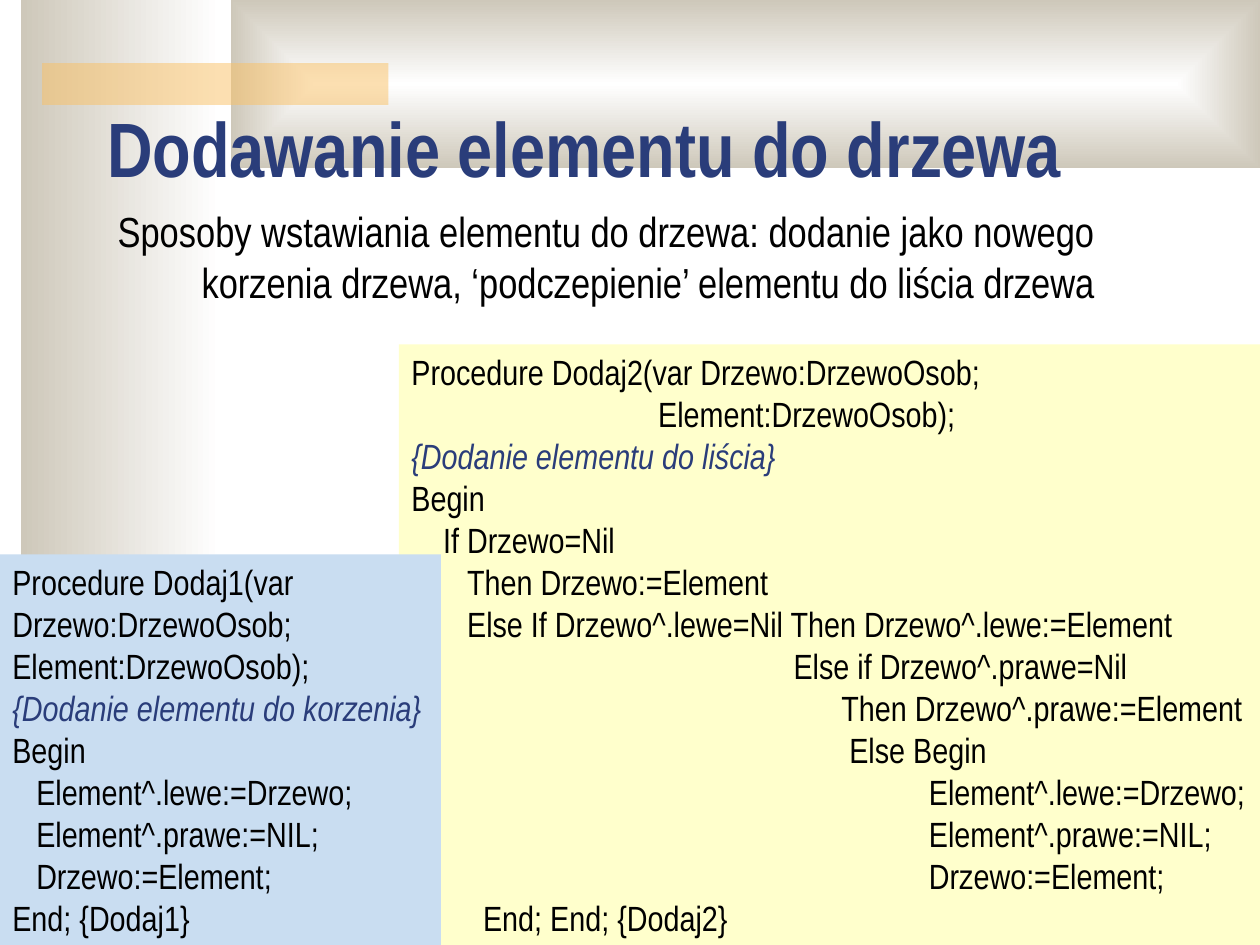
from lxml.etree import SubElement
from pptx import Presentation
from pptx.dml.color import RGBColor
from pptx.enum.shapes import MSO_SHAPE as Shape
from pptx.enum.text import MSO_ANCHOR as Anchor, MSO_AUTO_SIZE as Fit, PP_ALIGN as Align
from pptx.oxml.ns import qn
from pptx.util import Pt

FONT = "Arial Narrow"
NAVY, BLACK, WHITE, SAND = "2A3D7A", "000000", "FFFFFF", "CEC8BA"
STEP = 4.55  # width of one code column

TITLE = "Dodawanie elementu do drzewa"
BODY = ("Sposoby wstawiania elementu do drzewa: dodanie jako nowego korzenia "
        "drzewa, ‘podczepienie’ elementu do liścia drzewa")
# Each code line: indent in columns, text
LEAF = [
    (0, "Procedure Dodaj2(var Drzewo:DrzewoOsob;"),
    (31, "Element:DrzewoOsob);"),
    (0, "{Dodanie elementu do liścia}"),
    (0, "Begin"),
    (4, "If Drzewo=Nil"),
    (7, "Then Drzewo:=Element"),
    (7, "Else If Drzewo^.lewe=Nil Then Drzewo^.lewe:=Element"),
    (48, "Else if Drzewo^.prawe=Nil"),
    (54, "Then Drzewo^.prawe:=Element"),
    (55, "Else Begin"),
    (65, "Element^.lewe:=Drzewo;"),
    (65, "Element^.prawe:=NIL;"),
    (65, "Drzewo:=Element;"),
    (9, "End; End; {Dodaj2}"),
]
ROOT = [
    (0, "Procedure Dodaj1(var Drzewo:DrzewoOsob; Element:DrzewoOsob);"),
    (0, "{Dodanie elementu do korzenia}"),
    (0, "Begin"),
    (3, "Element^.lewe:=Drzewo;"),
    (3, "Element^.prawe:=NIL;"),
    (3, "Drzewo:=Element;"),
    (0, "End; {Dodaj1}"),
]
CODE = [((228, 196.8, 492, 343.2), "FFFFCC", LEAF),
        ((0, 316.8, 252, 223.2), "C9DDF1", ROOT)]


def rgb(code):
    return RGBColor.from_string(code)


def place(shape, box):
    shape.left, shape.top, shape.width, shape.height = map(Pt, box)


def add_rect(box, color=None):
    rect = slide.shapes.add_shape(Shape.RECTANGLE, *map(Pt, box))
    rect.shadow.inherit = False
    rect.line.fill.background()
    if color:
        rect.fill.solid()
        rect.fill.fore_color.rgb = rgb(color)
    return rect


def fade(rect):
    """Fill with a white to sand gradient and return its XML."""
    rect.fill.gradient()
    rect.fill.gradient_angle = 180
    for stop, color in zip(rect.fill.gradient_stops, (WHITE, SAND)):
        stop.color.rgb = rgb(color)
    return rect.element.spPr.find(qn("a:gradFill"))


def style(para, size, color, bold=False, italic=False):
    para.alignment = Align.LEFT
    font = para.font
    font.name, font.size, font.bold, font.italic = FONT, Pt(size), bold, italic
    font.color.rgb = rgb(color)


def indent(para, left, first=0):
    props = para._p.get_or_add_pPr()
    props.set("marL", str(Pt(left)))
    props.set("indent", str(Pt(first)))
    return props


def set_frame(shape, anchor):
    frame = shape.text_frame
    frame.word_wrap = True
    frame.auto_size = Fit.NONE
    frame.vertical_anchor = anchor
    return frame


def add_code(box, color, lines):
    frame = set_frame(add_rect(box, color), Anchor.TOP)
    frame.text = "\n".join(text for _, text in lines)
    for para, (cols, text) in zip(frame.paragraphs, lines):
        note = text.startswith("{")
        style(para, 20, NAVY if note else BLACK, italic=note)
        indent(para, cols * STEP)


deck = Presentation()
deck.slide_width, deck.slide_height = Pt(720), Pt(540)
slide = deck.slides.add_slide(deck.slide_layouts[1])
title, body = slide.placeholders

# Background bands
fade(add_rect((12, 0, 114, 540)))
grad = fade(add_rect((132, 0, 588, 96)))
grad.remove(grad.find(qn("a:lin")))
focus = SubElement(grad, qn("a:path"), {"path": "rect"})
SubElement(focus, qn("a:fillToRect"), dict.fromkeys("ltrb", "50000"))
accent = add_rect((24, 36, 198, 24), "FAC164")
tint = accent.element.spPr.find(qn("a:solidFill"))[0]
SubElement(tint, qn("a:alpha"), val="50000")

# Title and body go in front of the bands
for holder in (title, body):
    slide.shapes.element.append(holder.element)

place(title, (54, 60, 564, 54))
frame = set_frame(title, Anchor.BOTTOM)
frame.text = TITLE
style(frame.paragraphs[0], 44, NAVY, bold=True)

place(body, (60, 114, 630, 66))
frame = set_frame(body, Anchor.TOP)
frame.text = BODY
para = frame.paragraphs[0]
style(para, 24, BLACK)
para.space_before = Pt(6)
props = indent(para, 48, -48)
props.insert_element_before(props.makeelement(qn("a:buNone")), "a:tabLst", "a:defRPr")

for block in CODE:
    add_code(*block)

deck.save("out.pptx")
